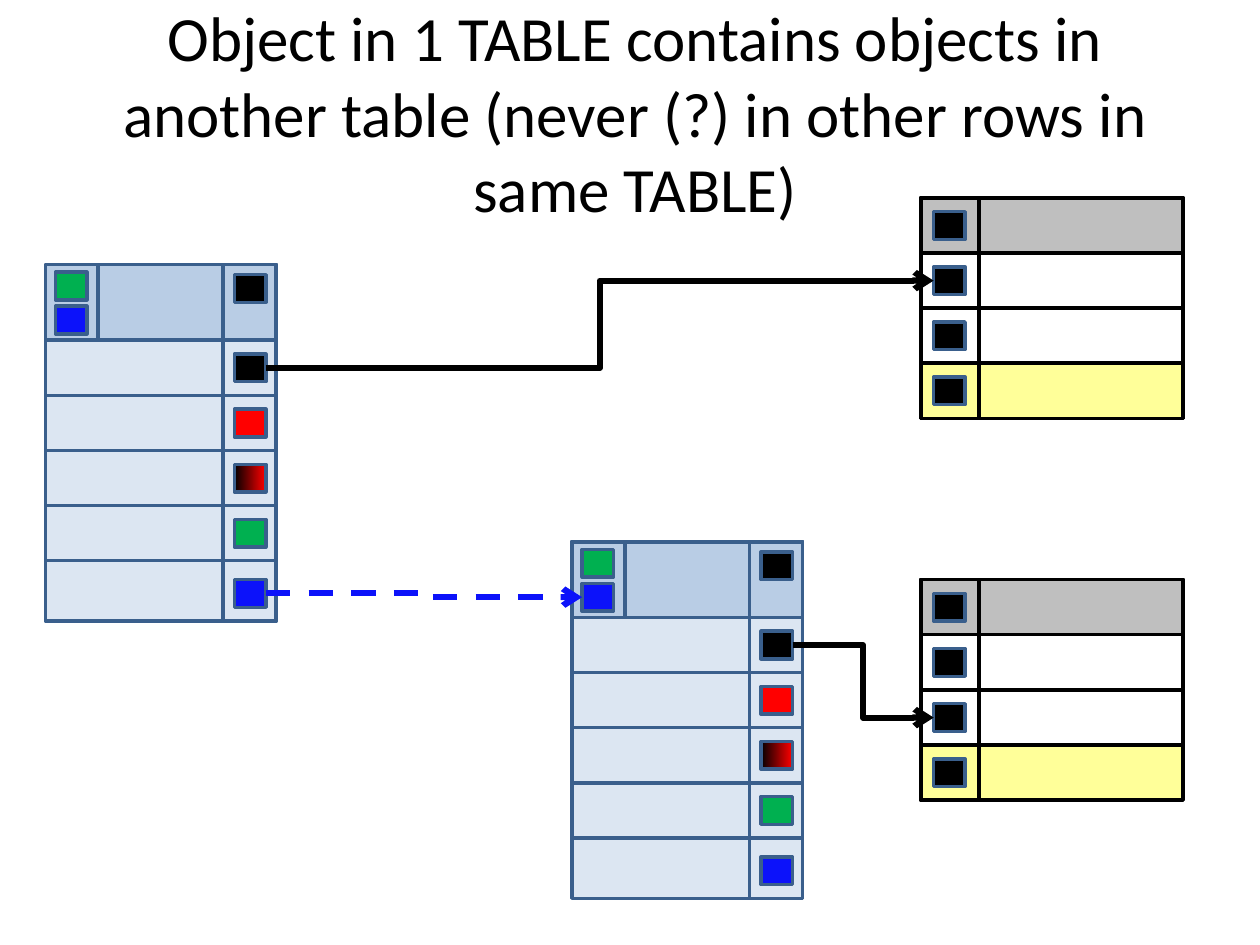
from dataclasses import dataclass
from lxml.etree import SubElement
from pptx import Presentation
from pptx.dml.color import RGBColor
from pptx.enum.dml import MSO_LINE
from pptx.enum.shapes import MSO_CONNECTOR, MSO_SHAPE
from pptx.enum.text import MSO_ANCHOR, MSO_AUTO_SIZE, PP_ALIGN
from pptx.oxml.ns import qn
from pptx.util import Inches, Pt


@dataclass(frozen=True)
class Theme:
    font: str = "Calibri"
    size: int = 36
    thin: float = 2
    thick: float = 3.5
    black: str = "000000"
    red: str = "FF0000"
    green: str = "00B050"
    blue: str = "0C12FA"
    edge: str = "3A5F8C"
    pale: str = "DCE6F2"
    head: str = "B9CDE5"
    gray: str = "BFBFBF"
    yellow: str = "FFFF99"


ROW = 1.75 / 4


class Deck:
    """Draws tables of object ports and the links between them."""

    def __init__(self, theme, slide):
        self.theme = theme
        self.slide = slide

    def title(self, text):
        shape = self.slide.shapes.title
        shape.left, shape.top = Inches(0.5), Inches(0.33)
        shape.width, shape.height = Inches(9.08), Inches(1.12)
        frame = shape.text_frame
        frame.text = text
        frame.word_wrap = True
        frame.auto_size = MSO_AUTO_SIZE.NONE
        frame.vertical_anchor = MSO_ANCHOR.MIDDLE
        para = frame.paragraphs[0]
        para.alignment = PP_ALIGN.CENTER
        para.font.name = self.theme.font
        para.font.size = Pt(self.theme.size)
        para.font.color.rgb = RGBColor.from_string(self.theme.black)

    def box(self, group, x, y, w, h, edge, fills=()):
        shape = group.shapes.add_shape(
            MSO_SHAPE.RECTANGLE, Inches(x), Inches(y), Inches(w), Inches(h))
        shape.shadow.inherit = False
        shape.line.color.rgb = RGBColor.from_string(edge)
        shape.line.width = Pt(self.theme.thin)
        if len(fills) > 1:
            shape.fill.gradient()
            shape.fill.gradient_angle = 0
            for stop, color, place in zip(shape.fill.gradient_stops, fills, (0, 1)):
                stop.color.rgb = RGBColor.from_string(color)
                stop.position = place
        elif fills:
            shape.fill.solid()
            shape.fill.fore_color.rgb = RGBColor.from_string(fills[0])
        else:
            shape.fill.background()
        return shape

    def port(self, group, x, y, *fills):
        return self.box(group, x, y, 0.25, 0.22, self.theme.edge, fills)

    def list_table(self, x, y):
        t = self.theme
        group = self.slide.shapes.add_group_shape()
        self.box(group, x, y + 3 * ROW, 2.08, ROW, t.black, [t.yellow])
        self.box(group, x, y, 2.08, 4 * ROW, t.black)
        for i, fills in enumerate(([t.gray], [], [])):
            self.box(group, x, y + i * ROW, 2.08, ROW, t.black, fills)
        self.box(group, x, y, 0.46, 4 * ROW, t.black)
        return [self.port(group, x + 0.1, y + 0.11 + i * ROW, t.black)
                for i in range(4)]

    def object_table(self, x, y):
        t = self.theme
        group = self.slide.shapes.add_group_shape()
        self.box(group, x, y, 1.83, 2.83, t.edge, [t.pale])
        self.box(group, x, y, 1.83, 0.6, t.edge, [t.head])
        for i in range(4):
            self.box(group, x, y + 0.6 + i * ROW, 1.83, ROW, t.edge)
        self.box(group, x + 1.41, y, 0.42, 2.83, t.edge)
        self.box(group, x, y, 0.42, 0.6, t.edge)
        right = x + 1.5
        rows = [(t.black,), (t.red,), (t.black, t.red), (t.green,)]
        ports = [self.port(group, right, y + 0.71 + i * ROW, *fills)
                 for i, fills in enumerate(rows)]
        self.port(group, right, y + 0.08, t.black)
        self.port(group, x + 0.08, y + 0.06, t.green)
        return {"first": ports[0],
                "last": self.port(group, right, y + 2.5, t.blue),
                "key": self.port(group, x + 0.08, y + 0.33, t.blue)}

    def link(self, start, end, color, dash=None):
        line = self.slide.shapes.add_connector(MSO_CONNECTOR.ELBOW, 0, 0, 0, 0)
        line.begin_connect(start, 3)
        line.end_connect(end, 1)
        line.line.color.rgb = RGBColor.from_string(color)
        line.line.width = Pt(self.theme.thick)
        if dash:
            line.line.dash_style = dash
        props = line._element.spPr
        SubElement(props.find(qn("a:ln")), qn("a:tailEnd"), type="arrow")
        SubElement(props, qn("a:effectLst"))


def main():
    show = Presentation()
    show.slide_width, show.slide_height = Inches(10), Inches(7.5)
    theme = Theme()
    deck = Deck(theme, show.slides.add_slide(show.slide_layouts[5]))
    deck.title("Object in 1 TABLE contains objects in another table "
               "(never (?) in other rows in same TABLE)")
    lower = deck.list_table(7.31, 4.6)
    outer = deck.object_table(0.36, 2.1)
    inner = deck.object_table(4.54, 4.3)
    upper = deck.list_table(7.31, 1.57)
    deck.link(outer["last"], inner["key"], theme.blue, MSO_LINE.DASH)
    deck.link(outer["first"], upper[1], theme.black)
    deck.link(inner["first"], lower[2], theme.black)
    show.save("out.pptx")


if __name__ == "__main__":
    main()
